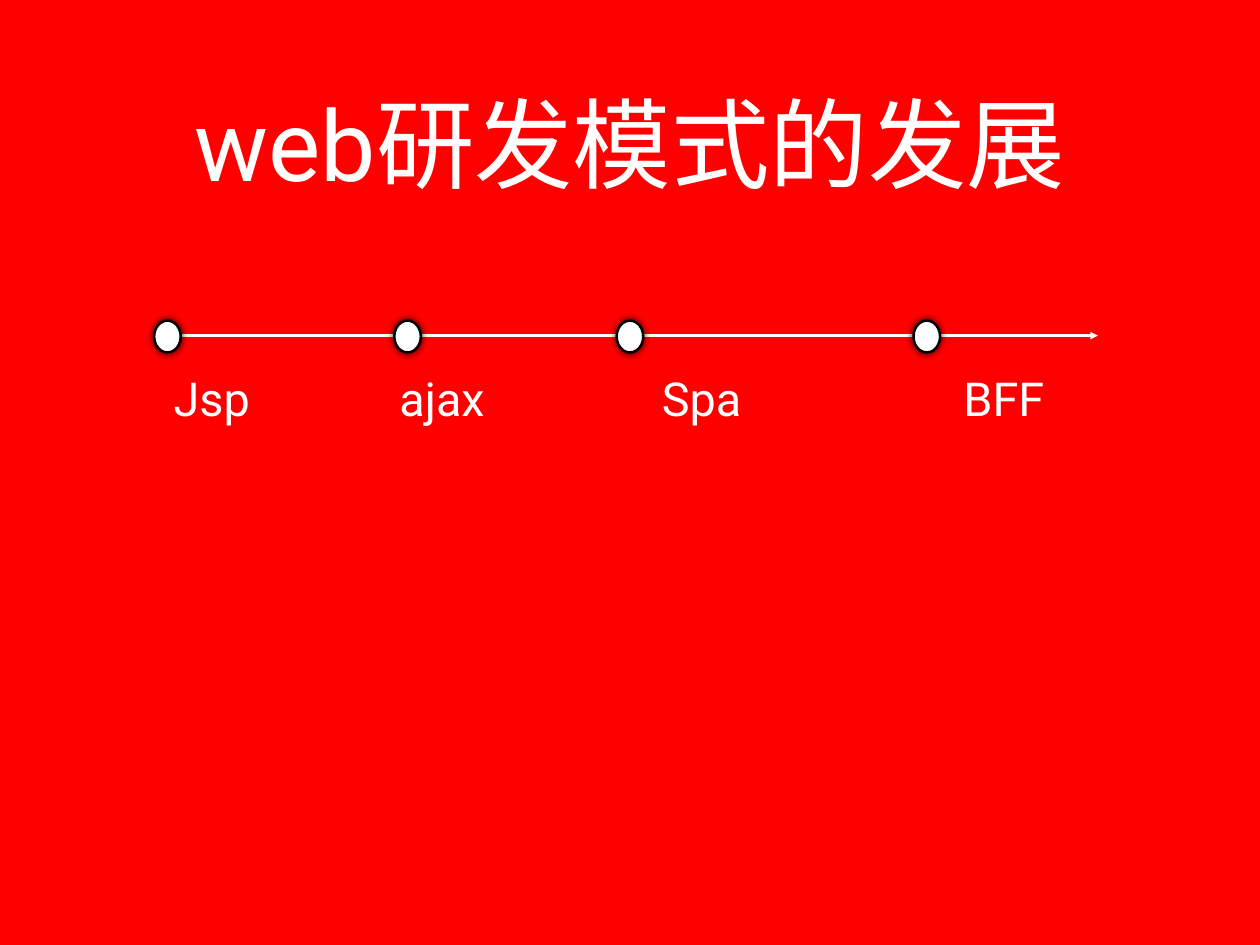
import pptx
import pptx.dml.color
import pptx.enum.shapes
import pptx.enum.text
import pptx.oxml
import pptx.oxml.ns
import pptx.util
from pptx.util import Inches

WHITE = "FFFFFF"
BLACK = "000000"
RED = "FF0000"
FONT = "Roboto"
NAMESPACE = pptx.oxml.ns.nsdecls("a")
STAGES = [
    ("Jsp", 0.06, 0.56),
    ("ajax", 2.77, 3.16),
    ("Spa", 5.28, 6.09),
    ("BFF", 8.63, 9.5),
]


def paint(color_format, color):
    """Apply a hex colour to a fill, line or font colour."""
    color_format.rgb = pptx.dml.color.RGBColor.from_string(color)


def fill_solid(fill, color):
    """Make a fill solid in a hex colour."""
    fill.solid()
    paint(fill.fore_color, color)


def write_text(frame, text, size, wrap):
    """Write one centred white paragraph into a text frame."""
    frame.text = text
    frame.word_wrap = wrap
    frame.vertical_anchor = pptx.enum.text.MSO_ANCHOR.MIDDLE
    frame.margin_left = frame.margin_right = Inches(0.06)
    frame.margin_top = frame.margin_bottom = Inches(0.06)
    para = frame.paragraphs[0]
    para.alignment = pptx.enum.text.PP_ALIGN.CENTER
    para.font.size = pptx.util.Pt(size)
    para.font.name = FONT
    paint(para.font.color, WHITE)


def add_title(page, left, top, width, height):
    """Place and format the title placeholder."""
    title = page.shapes.title
    title.left, title.top = Inches(left), Inches(top)
    title.width, title.height = Inches(width), Inches(height)
    write_text(title.text_frame, "web研发模式的发展", 80, True)
    title.text_frame.auto_size = pptx.enum.text.MSO_AUTO_SIZE.NONE


def add_axis(page, left, middle, width):
    """Draw the white time arrow."""
    axis = page.shapes.add_connector(
        pptx.enum.shapes.MSO_CONNECTOR.STRAIGHT,
        Inches(left), Inches(middle), Inches(left + width), Inches(middle))
    paint(axis.line.color, WHITE)
    axis.line.width = pptx.util.Pt(2)
    axis.line._get_or_add_ln().append(
        pptx.oxml.parse_xml(f'<a:tailEnd {NAMESPACE} type="triangle"/>'))
    axis._element.spPr.append(pptx.oxml.parse_xml(f"<a:effectLst {NAMESPACE}/>"))


def add_marker(page, left, top, width, height):
    """Draw one outlined stage marker with a soft glow of shadow."""
    marker = page.shapes.add_shape(
        pptx.enum.shapes.MSO_SHAPE.OVAL,
        Inches(left), Inches(top), Inches(width), Inches(height))
    fill_solid(marker.fill, WHITE)
    paint(marker.line.color, BLACK)
    marker.line.width = pptx.util.Pt(2)
    marker.shadow.inherit = False
    effects = marker._element.spPr.find(pptx.oxml.ns.qn("a:effectLst"))
    effects.append(pptx.oxml.parse_xml(
        f'<a:outerShdw {NAMESPACE} blurRad="{pptx.util.Pt(6)}" dist="0" '
        f'dir="{315 * 60000}" rotWithShape="0"><a:srgbClr val="{BLACK}">'
        '<a:alpha val="80000"/></a:srgbClr></a:outerShdw>'))


def add_label(page, text, left, top, width, height):
    """Write the name of one stage on a single line."""
    label = page.shapes.add_textbox(
        Inches(left), Inches(top), Inches(width), Inches(height))
    write_text(label.text_frame, text, 38, False)
    label.text_frame.auto_size = pptx.enum.text.MSO_AUTO_SIZE.NONE


def add_timeline(page, left, top, width, height):
    """Place the arrow, markers and labels within a box."""
    marker_width, marker_height = 0.3, 0.36
    label_width, label_height = 1.2, 0.75
    add_axis(page, left, top + marker_height / 2 - 0.01, width)
    for name, marker_center, label_center in STAGES:
        add_marker(page, left + marker_center - marker_width / 2, top,
                   marker_width, marker_height)
        add_label(page, name, left + label_center - label_width / 2,
                  top + height - label_height, label_width, label_height)


def main():
    """Build and save the deck."""
    deck = pptx.Presentation()
    deck.slide_width, deck.slide_height = Inches(14.22), Inches(10.67)
    page = deck.slides.add_slide(deck.slide_layouts.get_by_name("Title Only"))
    fill_solid(page.background.fill, RED)
    add_title(page, 1.04, 0.44, 12.14, 2.32)
    add_timeline(page, 1.83, 3.62, 10.56, 1.25)
    deck.save("out.pptx")


if __name__ == "__main__":
    main()
